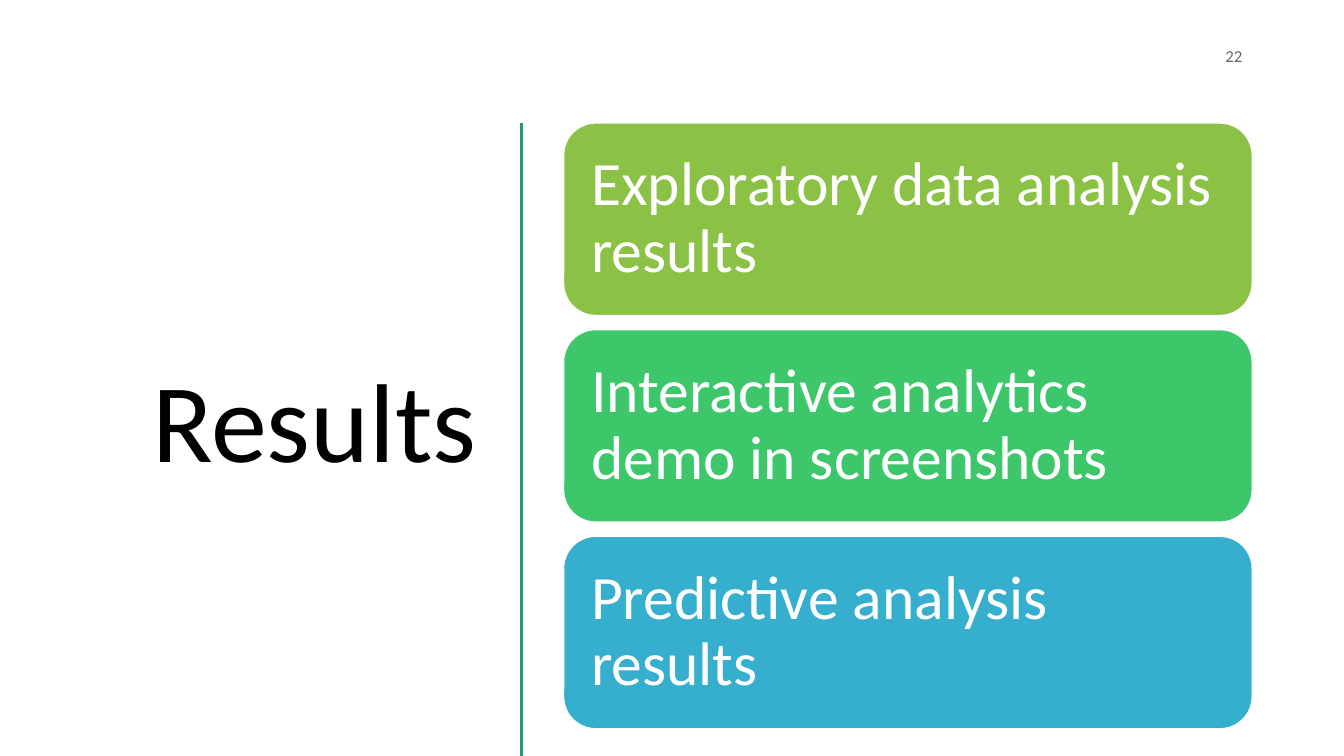
"""Builds the Results section slide with three stacked topic cards."""
from dataclasses import dataclass

from lxml import etree
from pptx import Presentation
from pptx.dml.color import RGBColor
from pptx.enum.shapes import MSO_CONNECTOR, MSO_SHAPE
from pptx.enum.text import MSO_ANCHOR, MSO_AUTO_SIZE, PP_ALIGN
from pptx.oxml.ns import qn
from pptx.util import Inches, Pt

STRAIGHT = MSO_CONNECTOR.STRAIGHT
ROUNDED = MSO_SHAPE.ROUNDED_RECTANGLE
MIDDLE = MSO_ANCHOR.MIDDLE
NO_FIT = MSO_AUTO_SIZE.NONE
LEFT, RIGHT = PP_ALIGN.LEFT, PP_ALIGN.RIGHT
TITLE_ONLY = 5


@dataclass(frozen=True)
class Theme:
    font: str = "Calibri"
    ink: str = "000000"
    muted: str = "666666"
    white: str = "FFFFFF"
    rule: str = "1F9A80"
    cards: tuple = ("8BC145", "3EC76A", "36AFCE")
    title_size: int = 80
    card_size: int = 44
    number_size: int = 12


class SlideBuilder:
    def __init__(self, slide, theme):
        self.slide = slide
        self.theme = theme

    def set_text(self, holder, text, size, color, align, spacing=1.0, inset=None):
        frame = holder.text_frame
        frame.text = text
        frame_format = {"word_wrap": True, "auto_size": NO_FIT, "vertical_anchor": MIDDLE}
        if inset is not None:
            for side in ("left", "top", "right", "bottom"):
                frame_format[f"margin_{side}"] = Inches(inset)
        paragraph = frame.paragraphs[0]
        font = paragraph.runs[0].font
        formats = (
            (frame, frame_format),
            (paragraph, {"alignment": align, "line_spacing": spacing}),
            (font, {"name": self.theme.font, "size": Pt(size), "bold": False}),
        )
        for target, values in formats:
            for key, value in values.items():
                setattr(target, key, value)
        font.color.rgb = RGBColor.from_string(color)

    def title(self, text, left, top, width, height):
        heading = self.slide.shapes.title
        place = {"left": left, "top": top, "width": width, "height": height}
        for key, value in place.items():
            setattr(heading, key, Inches(value))
        self.set_text(heading, text, self.theme.title_size, self.theme.ink, RIGHT, 0.9)

    def page_number(self, text, *place):
        number = self.slide.shapes.add_textbox(*map(Inches, place))
        self.set_text(number, text, self.theme.number_size, self.theme.muted, RIGHT)

    def divider(self, *ends):
        rule = self.slide.shapes.add_connector(STRAIGHT, *map(Inches, ends))
        rule.line.color.rgb = RGBColor.from_string(self.theme.rule)
        rule.line.width = Pt(2)
        etree.SubElement(rule._element.spPr, qn("a:effectLst"))

    def card(self, text, color, *place):
        card = self.slide.shapes.add_shape(ROUNDED, *map(Inches, place))
        card.shadow.inherit = False
        card.fill.solid()
        card.fill.fore_color.rgb = RGBColor.from_string(color)
        card.line.color.rgb = RGBColor.from_string(self.theme.white)
        card.line.width = Pt(1)
        self.set_text(card, text, self.theme.card_size, self.theme.white, LEFT, 0.9, 0.18)


def main():
    deck = Presentation()
    deck.slide_width, deck.slide_height = Inches(13.33), Inches(7.5)
    theme = Theme()
    builder = SlideBuilder(deck.slides.add_slide(deck.slide_layouts[TITLE_ONLY]), theme)

    builder.title("Results", 0.52, 1.17, 4.31, 6.11)
    builder.page_number("22", 9.42, 0.35, 3, 0.4)
    builder.divider(5.17, 1.22, 5.17, 7.5)

    topics = (
        "Exploratory data analysis results",
        "Interactive analytics demo in screenshots",
        "Predictive analysis results",
    )
    first_top, pitch = 1.22, 2.05
    for index, (topic, color) in enumerate(zip(topics, theme.cards)):
        builder.card(topic, color, 5.59, first_top + index * pitch, 6.83, 1.91)

    deck.save("out.pptx")


if __name__ == "__main__":
    main()
